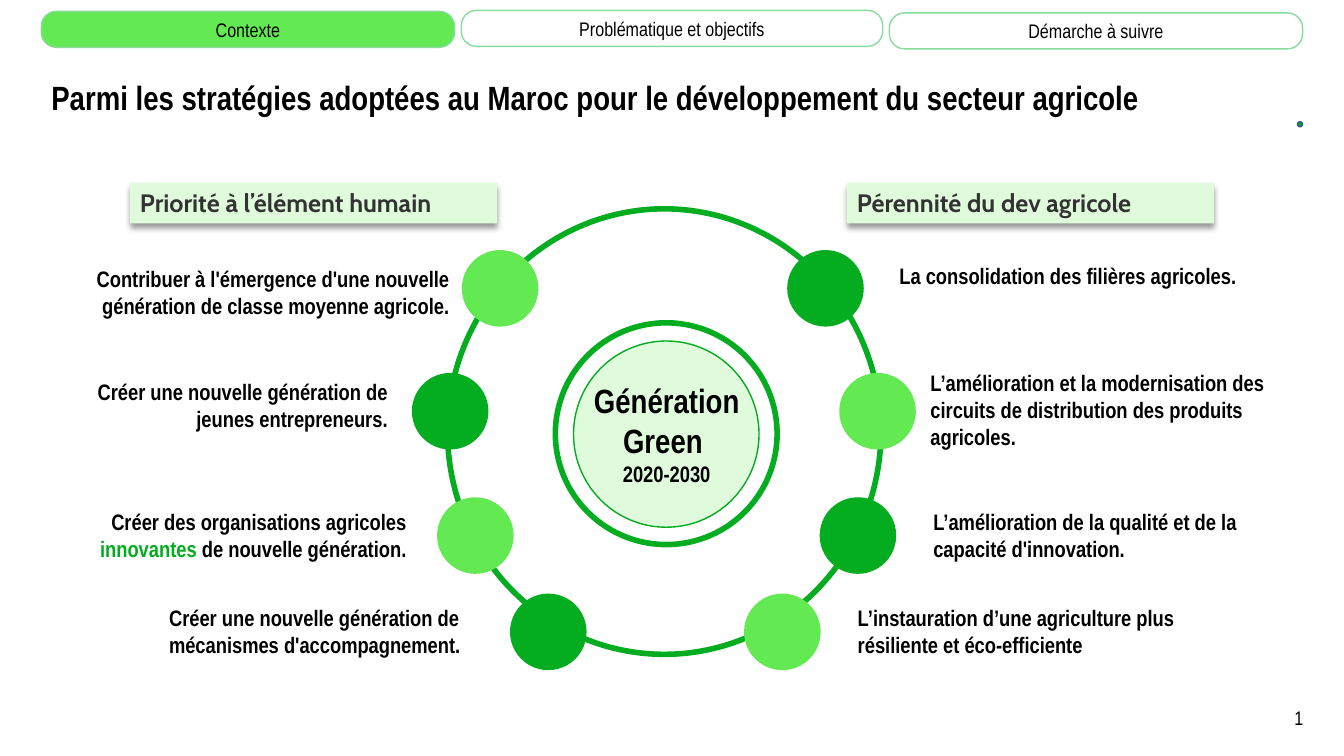
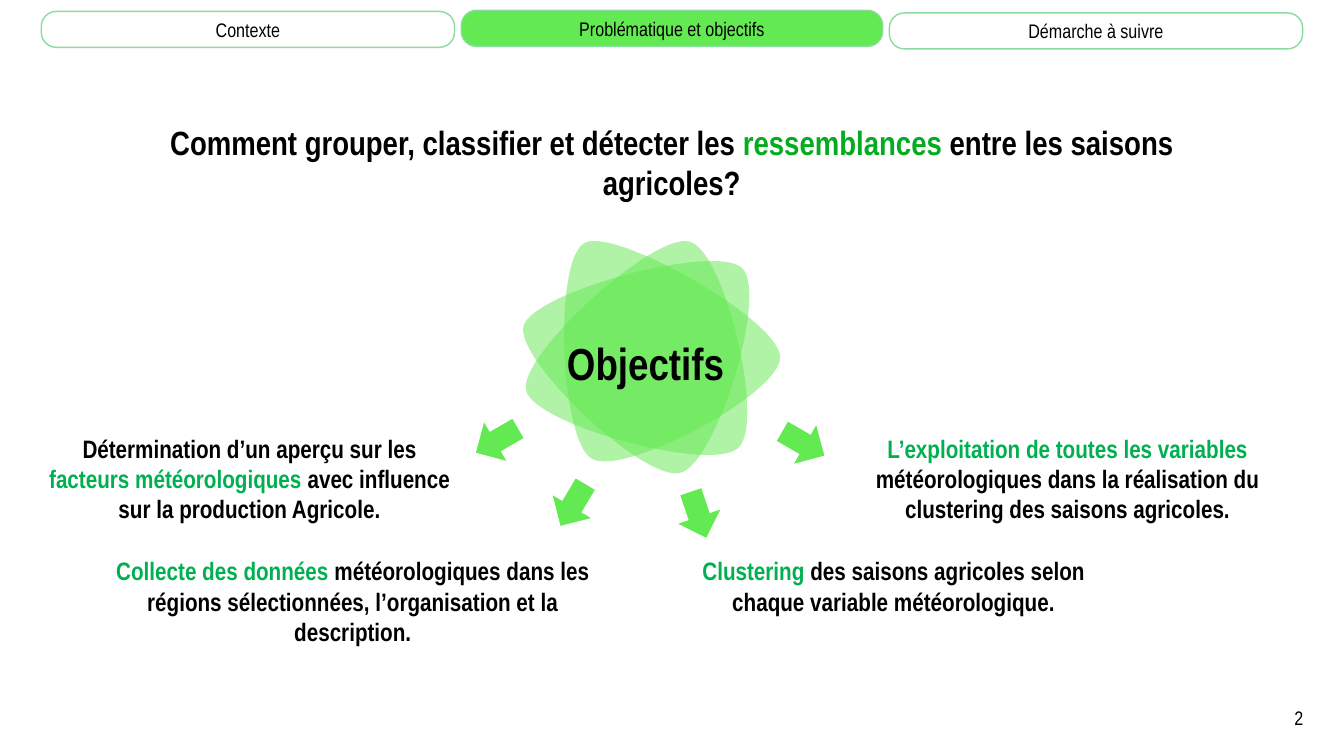
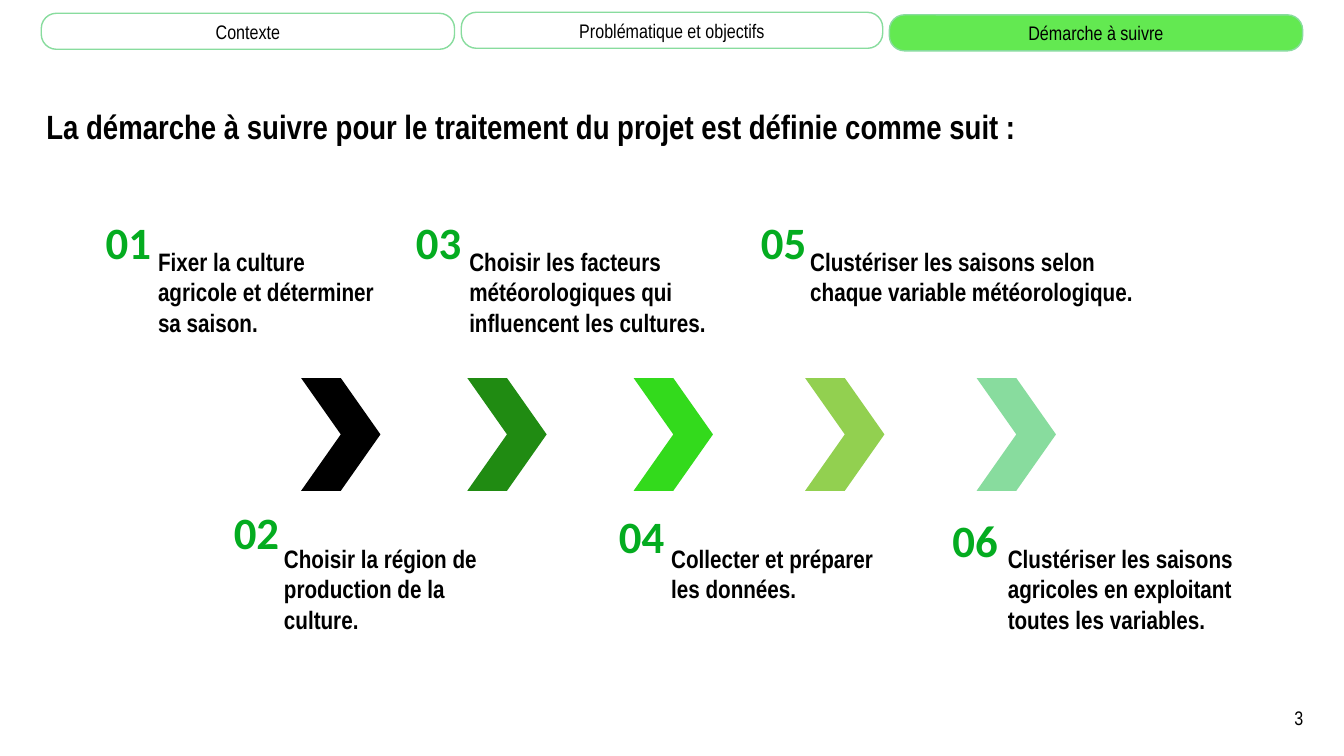
from dataclasses import dataclass

from lxml import etree
from pptx import Presentation
from pptx import util as u
from pptx.dml.color import RGBColor
from pptx.enum import shapes, text
from pptx.oxml import ns

SHAPE = shapes.MSO_SHAPE
ALIGN = text.PP_ALIGN
ANCHOR = text.MSO_ANCHOR


@dataclass(frozen=True)
class Theme:
    black: str = "000000"
    white: str = "FFFFFF"
    grey: str = "333333"
    blue: str = "325491"
    light: str = "63E951"
    dark: str = "04AC20"
    accent: str = "00B050"
    pale: str = "E0FBDC"
    mint: str = "88DC9E"
    chevrons: tuple = ("000000", "208B12", "33DA1C", "92D050", "88DC9E")
    body_font: str = "Arial Narrow"
    label_font: str = "Cabin"
    number_font: str = "Calibri"
    small: float = 14
    body: float = 16
    large: float = 18
    heading: float = 24
    display: float = 32


THEME = Theme()


@dataclass(frozen=True)
class Box:
    left: float
    top: float
    width: float
    height: float

    def inner(self, dx, dy, width, height):
        return Box(self.left + dx, self.top + dy, width, height)

    def lengths(self):
        return [u.Pt(v) for v in (self.left, self.top, self.width, self.height)]


# Shared building blocks
def add_xml(parent, tag, **attributes):
    return etree.SubElement(parent, ns.qn(tag), attributes)


def paint(shape, fill=None, line=None, weight=1):
    shape.shadow.inherit = False
    if fill:
        shape.fill.solid()
        shape.fill.fore_color.rgb = RGBColor.from_string(fill)
    else:
        shape.fill.background()
    if line:
        shape.line.color.rgb = RGBColor.from_string(line)
        shape.line.width = u.Pt(weight)
    else:
        shape.line.fill.background()
    return shape


def add_shape(slide, kind, box, fill=None, line=None, weight=1):
    return paint(slide.shapes.add_shape(kind, *box.lengths()), fill, line, weight)


def write(paragraph, content, size, color=THEME.black, font=THEME.body_font,
          bold=True, align=ALIGN.LEFT, accent=THEME.dark):
    """Write content; the parts between asterisks take the accent colour."""
    paragraph.alignment = align
    paragraph.font.size = u.Pt(size)
    paragraph.font.name = font
    paragraph.font.bold = bold
    paragraph.font.color.rgb = RGBColor.from_string(color)
    for index, part in enumerate(content.split("*")):
        if part:
            run = paragraph.add_run()
            run.text = part
            if index % 2:
                run.font.color.rgb = RGBColor.from_string(accent)


def add_text(slide, box, content, size, anchor=ANCHOR.TOP, **style):
    frame = slide.shapes.add_textbox(*box.lengths()).text_frame
    frame.word_wrap = True
    frame.vertical_anchor = anchor
    write(frame.paragraphs[0], content, size, **style)
    return frame


def set_title(slide, box, content, anchor=ANCHOR.MIDDLE, align=ALIGN.LEFT, spacing=0.9):
    title = slide.shapes.title
    title.left, title.top, title.width, title.height = box.lengths()
    frame = title.text_frame
    frame.auto_size = text.MSO_AUTO_SIZE.NONE
    frame.vertical_anchor = anchor
    paragraph = frame.paragraphs[0]
    paragraph.line_spacing = spacing
    write(paragraph, content, THEME.heading, align=align)


# Navigation band: left, top offset and width of each tab
TABS = [
    ("Contexte", 0, 0.7, 295.2),
    ("Problématique et objectifs", 300, 0, 301),
    ("Démarche à suivre", 605.8, 1.8, 295.2),
]


def add_navigation(slide, box, active):
    for index, (label, dx, dy, width) in enumerate(TABS):
        tab = add_shape(slide, SHAPE.ROUNDED_RECTANGLE, box.inner(dx, dy, width, box.height),
                        THEME.light if index == active else None, THEME.mint)
        tab.adjustments[0] = 0.42
        tab.text_frame.vertical_anchor = ANCHOR.MIDDLE
        write(tab.text_frame.paragraphs[0], label, THEME.small, bold=False, align=ALIGN.CENTER)


def add_slide_number(slide, box, number):
    frame = add_text(slide, box, "", THEME.small, bold=False)
    field = add_xml(frame.paragraphs[0]._p, "a:fld", type="slidenum",
                    id="{B6F15528-21DE-4FAA-801E-634DDDAF4B2B}")
    add_xml(field, "a:rPr", lang="fr-FR", sz=str(THEME.small * 100))
    add_xml(field, "a:t").text = str(number)


def new_slide(presentation, active, navigation_top=7.4):
    slide = presentation.slides.add_slide(presentation.slide_layouts[5])
    add_navigation(slide, Box(29.5, navigation_top, 901, 25.7), active)
    add_slide_number(slide, Box(917.5, 501, 21, 24.5), active + 1)
    return slide


# Wheel: node offset, then text offset and width, for each side
NODE_TOPS = (29.4, 117.2, 206, 274.8)
LEFT_ITEMS = [
    (10.2, -263.8, 36.8, 272.2, ALIGN.RIGHT,
     "Contribuer à l'émergence d'une nouvelle génération de classe moyenne agricole."),
    (-25.5, -271, 117.4, 235.4, ALIGN.RIGHT,
     "Créer une nouvelle génération de jeunes entrepreneurs."),
    (-7.5, -257.6, 210.3, 235.4, ALIGN.RIGHT,
     "Créer des organisations agricoles *innovantes* de nouvelle génération."),
    (44.6, -206, 279, 235.4, ALIGN.LEFT,
     "Créer une nouvelle génération de mécanismes d'accompagnement."),
]
RIGHT_ITEMS = [
    (242.6, 315.6, 34.6, 272.9, ALIGN.LEFT, "La consolidation des filières agricoles."),
    (279.8, 337.8, 111.2, 260.6, ALIGN.LEFT,
     "L’amélioration et la modernisation des circuits de distribution des produits agricoles."),
    (265.8, 339.9, 210.3, 233.3, ALIGN.LEFT,
     "L’amélioration de la qualité et de la capacité d'innovation."),
    (211.8, 285.9, 279, 298.8, ALIGN.LEFT,
     "L’instauration d’une agriculture plus résiliente et éco-efficiente"),
]


def add_wheel(slide, box):
    add_shape(slide, SHAPE.OVAL, box, THEME.white, THEME.dark, 4)
    # Nodes and their texts, in alternating greens
    for side, items in enumerate((LEFT_ITEMS, RIGHT_ITEMS)):
        for row, (node_dx, dx, dy, width, align, content) in enumerate(items):
            fill = THEME.dark if (row + side) % 2 else THEME.light
            add_shape(slide, SHAPE.OVAL, box.inner(node_dx, NODE_TOPS[row], 54.7, 54.7), fill)
            add_text(slide, box.inner(dx, dy, width, 46), content, THEME.body, align=align)
    # Core
    add_shape(slide, SHAPE.OVAL, box.inner(77, 81.4, 158.4, 158.4), THEME.white, THEME.dark, 4)
    add_shape(slide, SHAPE.OVAL, box.inner(90, 94.4, 132.5, 133), THEME.pale, THEME.dark)
    frame = add_text(slide, box.inner(74, 118.3, 165, 85), "Génération Green ",
                     THEME.heading, align=ALIGN.CENTER)
    write(frame.add_paragraph(), "2020-2030", THEME.body, align=ALIGN.CENTER)


def add_label(slide, box, content):
    label = add_shape(slide, SHAPE.RECTANGLE, box, THEME.pale)
    effects = label._element.spPr.find(ns.qn("a:effectLst"))
    shadow = add_xml(effects, "a:outerShdw", blurRad=str(u.Pt(4)), dist=str(u.Pt(3)),
                     dir="5400000", algn="t", rotWithShape="0")
    color = add_xml(shadow, "a:srgbClr", val=THEME.black)
    add_xml(color, "a:alpha", val="40000")
    label.text_frame.vertical_anchor = ANCHOR.TOP
    write(label.text_frame.paragraphs[0], content, THEME.large, THEME.grey, THEME.label_font)


def build_context(presentation):
    slide = new_slide(presentation, 0)
    set_title(slide, Box(29.5, 41.8, 917.3, 59),
              "Parmi les stratégies adoptées au Maroc pour le développement du secteur agricole")
    add_wheel(slide, Box(319.7, 149.2, 309.6, 318.2))
    add_label(slide, Box(92.9, 130.5, 262, 29), "Priorité à l’élément humain")
    add_label(slide, Box(605, 130.5, 262, 29), "Pérennité du dev agricole")
    add_shape(slide, SHAPE.OVAL, Box(926.8, 87, 3.6, 3.6), THEME.dark, THEME.blue)


# Flower: each petal is a start point and three cubic curves
PETALS = [
    ((1.8, 108), [((8, 132.5), (134, 167), (153.3, 149)),
                  ((173, 132), (144, 8), (118.5, 1.6)),
                  ((93, -5.4), (-4, 83), (1.8, 108))]),
    ((48.6, 156.6), [((72, 170), (184, 110), (183.3, 84)),
                     ((183, 58), (66, -9), (43.6, 2.5)),
                     ((21, 15), (26, 143), (48.6, 156.6))]),
    ((112, 166.7), [((138, 160), (175, 38), (156, 20.5)),
                    ((137, 2.5), (8, 37), (0, 61.6)),
                    ((-7, 85), (86, 174), (112, 166.7))]),
]


def add_petal(slide, box, start, curves):
    points = [(u.Pt(box.left + x), u.Pt(box.top + y))
              for x, y in [start, *(point for curve in curves for point in curve)]]
    builder = slide.shapes.build_freeform(*points[0])
    builder.add_line_segments(points[1:], close=True)
    petal = paint(builder.convert_to_shape(), THEME.light)
    add_xml(petal._element.spPr.find(ns.qn("a:solidFill"))[0], "a:alpha", val="50000")
    # Every three straight segments become one cubic curve
    lines = list(petal._element.iter(ns.qn("a:lnTo")))
    for first in range(0, 3 * len(curves), 3):
        curve = etree.Element(ns.qn("a:cubicBezTo"))
        lines[first].addprevious(curve)
        for line in lines[first:first + 3]:
            curve.append(line[0])
    for line in lines:
        line.getparent().remove(line)


def add_flower(slide, box, content):
    for start, curves in PETALS:
        add_petal(slide, box, start, curves)
    add_text(slide, box.inner(16.3, 65, 141.8, 46), content, THEME.display, align=ALIGN.CENTER)


# Objectives: arrow offset and rotation, then text offset and width
OBJECTIVES = [
    (312.1, 126.4, 240, 0.4, 134.8, 301.7,
     "Détermination d’un aperçu sur les *facteurs météorologiques *"
     "avec influence sur la production Agricole."),
    (531, 128.5, 120, 565.3, 134.8, 340.6,
     "*L’exploitation de toutes les variables *météorologiques dans la réalisation "
     "du clustering des saisons agricoles."),
    (366.3, 172.4, 210.8, 34.2, 222.3, 381.6,
     "*Collecte des données *météorologiques dans les régions sélectionnées, "
     "l’organisation et la description."),
    (456.1, 179.4, 161.4, 443.2, 222.3, 336.2,
     "*Clustering* des saisons agricoles selon chaque variable météorologique."),
]


def add_objectives(slide, box):
    for arrow_dx, arrow_dy, angle, dx, dy, width, content in OBJECTIVES:
        arrow = add_shape(slide, SHAPE.UP_ARROW, box.inner(arrow_dx, arrow_dy, 31.7, 34.6),
                          THEME.light)
        arrow.rotation = angle
        add_text(slide, box.inner(dx, dy, width, 73), content, THEME.large,
                 align=ALIGN.CENTER, accent=THEME.accent)
    add_flower(slide, box.inner(347, 0, 184, 168), "Objectifs")


def build_objectives(presentation):
    slide = new_slide(presentation, 1)
    set_title(slide, Box(76.3, 83.5, 807, 65.5),
              "Comment grouper, classifier et détecter les *ressemblances* "
              "entre les saisons agricoles?", ANCHOR.TOP, ALIGN.CENTER, 1.0)
    add_objectives(slide, Box(27, 171, 906, 295))


# Steps: text offset and width, then number offset from the text
STEPS = [
    (43.2, 22.7, 178, -43.2, -22.7, "Fixer la culture agricole et déterminer sa saison."),
    (133.2, 234.9, 180, -41.7, -27.9, "Choisir la région de production de la culture."),
    (265.5, 22.7, 185.8, -43.9, -22.7,
     "Choisir les facteurs météorologiques qui influencent les cultures."),
    (409.7, 234.9, 159.8, -43.2, -25, "Collecter et préparer les données."),
    (509.1, 22.7, 261.4, -41.1, -22.7,
     "Clustériser les saisons selon chaque variable météorologique."),
    (650.2, 234.9, 185, -45.4, -22.5,
     "Clustériser les saisons agricoles en exploitant toutes les variables."),
]
CHEVRON_LEFTS = (152.5, 271.2, 390, 512.5, 635)


def add_process(slide, box):
    for dx, color in zip(CHEVRON_LEFTS, THEME.chevrons):
        add_shape(slide, SHAPE.CHEVRON, box.inner(dx, 120.2, 56.7, 80.6), color)
    for number, (dx, dy, width, number_dx, number_dy, content) in enumerate(STEPS, 1):
        step = box.inner(dx, dy, width, 73)
        add_text(slide, step, content, THEME.large)
        add_text(slide, step.inner(number_dx, number_dy, 58.3, 46), f"{number:02}",
                 THEME.display, ANCHOR.MIDDLE, color=THEME.dark,
                 font=THEME.number_font, align=ALIGN.CENTER)


def build_process(presentation):
    slide = new_slide(presentation, 2, navigation_top=8.8)
    set_title(slide, Box(25.9, 62.6, 832.3, 59),
              "La démarche à suivre pour le traitement du projet est définie comme suit :")
    add_process(slide, Box(62.6, 149.8, 836, 308))


def main():
    presentation = Presentation()
    presentation.slide_width, presentation.slide_height = u.Pt(960), u.Pt(540)
    build_context(presentation)
    build_objectives(presentation)
    build_process(presentation)
    presentation.save("out.pptx")


if __name__ == "__main__":
    main()
